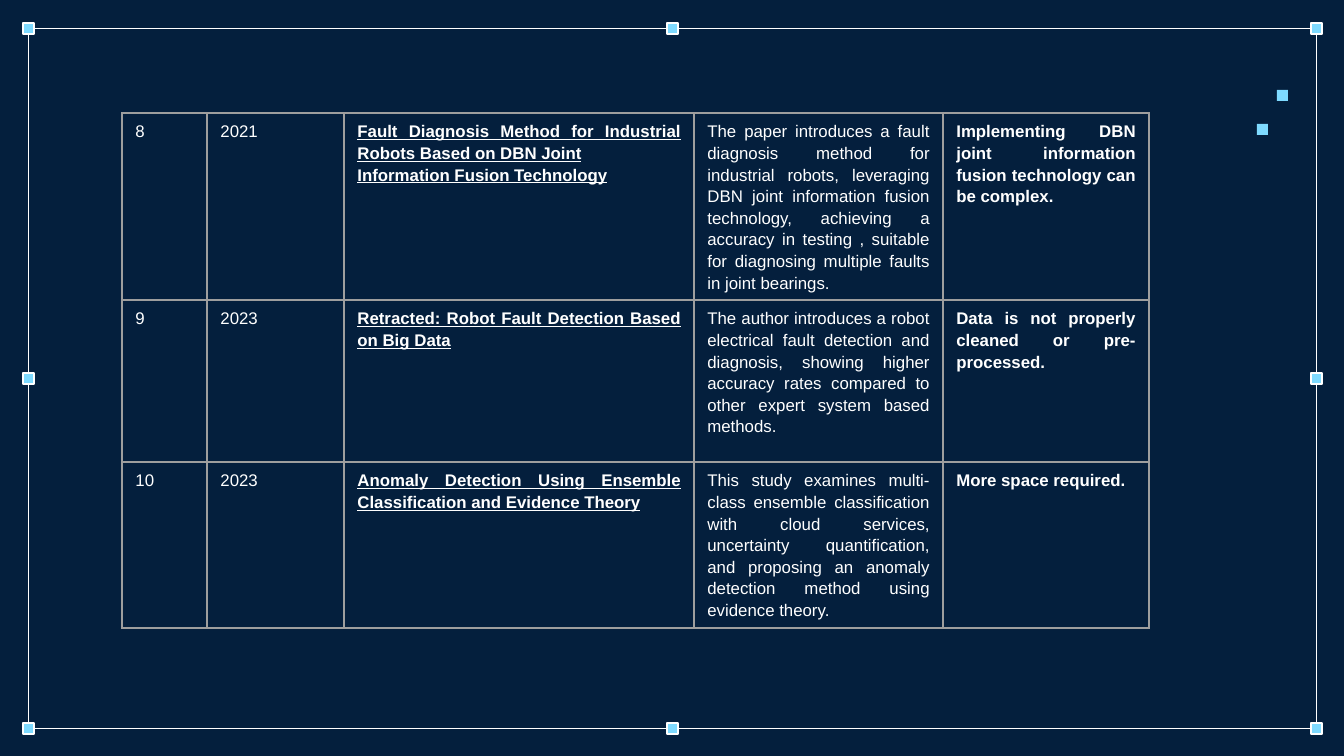
"""Build a literature survey table slide inside a selection-box frame."""
from lxml import etree
from pptx import Presentation
from pptx.dml.color import RGBColor
from pptx.enum.shapes import MSO_CONNECTOR, MSO_SHAPE
from pptx.enum.text import PP_ALIGN
from pptx.oxml.ns import qn
from pptx.util import Pt

PX = 914400 / 134.4
RECTANGLE = MSO_SHAPE.RECTANGLE
STRAIGHT = MSO_CONNECTOR.STRAIGHT
JUSTIFY = PP_ALIGN.JUSTIFY
NAVY = RGBColor(0x04, 0x1F, 0x3D)
SKY = RGBColor(0x7E, 0xDA, 0xFF)
WHITE = RGBColor(0xFF, 0xFF, 0xFF)
GREY = RGBColor(0x9E, 0x9E, 0x9E)
HANDLE = 11
TOP, LEFT, BOTTOM, RIGHT = range(4)


def px(value):
    return round(value * PX)


def add_square(shapes, left, top):
    square = shapes.add_shape(RECTANGLE, px(left), px(top), px(HANDLE), px(HANDLE))
    square.shadow.inherit = False
    square.fill.solid()
    square.fill.fore_color.rgb = SKY
    square.line.fill.background()
    return square


prs = Presentation()
prs.slide_width, prs.slide_height = px(1344), px(756)
slide = prs.slides.add_slide(prs.slide_layouts[6])
slide.background.fill.solid()
slide.background.fill.fore_color.rgb = NAVY

X1, X2, X3 = 23, 667, 1311
Y1, Y2, Y3 = 23, 373, 723
clockwise = [(X1, Y1), (X2, Y1), (X3, Y1), (X3, Y2),
             (X3, Y3), (X2, Y3), (X1, Y3), (X1, Y2)]
edge_sides = [(RIGHT, LEFT), (BOTTOM, TOP), (LEFT, RIGHT), (TOP, BOTTOM)]

handles = []
for left, top in clockwise:
    handle = add_square(slide.shapes, left, top)
    handle.line.color.rgb = WHITE
    handle.line.width = Pt(0.75)
    handles.append(handle)

for i, handle in enumerate(handles):
    start_side, end_side = edge_sides[i // 2]
    frame_edge = slide.shapes.add_connector(STRAIGHT, 0, 0, 0, 0)
    frame_edge.begin_connect(handle, start_side)
    frame_edge.end_connect(handles[(i + 1) % len(handles)], end_side)
    frame_edge.line.color.rgb = WHITE
    frame_edge.line.width = Pt(0.75)
    etree.SubElement(frame_edge._element.spPr, qn("a:effectLst"))

for left, top in [(1277, 90), (1257, 124)]:
    add_square(slide.shapes, left, top)

papers = [
    ("8", "2021",
     "Fault Diagnosis Method for Industrial Robots Based on DBN Joint\n"
     "Information Fusion Technology",
     "The paper introduces a fault diagnosis method for industrial robots, "
     "leveraging DBN joint information fusion technology, achieving a accuracy "
     "in testing , suitable for diagnosing multiple faults in joint bearings.",
     "Implementing DBN joint information fusion technology can be complex."),
    ("9", "2023",
     "Retracted: Robot Fault Detection Based on Big Data",
     "The author introduces a robot electrical fault detection and diagnosis, "
     "showing higher accuracy rates compared to other expert system "
     "based methods.",
     "Data is not properly cleaned or pre-processed."),
    ("10", "2023",
     "Anomaly Detection Using Ensemble Classification and Evidence Theory",
     "This study examines multi-class ensemble classification with cloud "
     "services, uncertainty quantification, and proposing an anomaly detection "
     "method using evidence theory.",
     "More space required."),
]
column_widths = [85, 137, 350, 249, 206]
row_heights = [187, 162, 166]
TITLE, LIMITATION = 2, 4

survey = slide.shapes.add_table(
    len(papers), len(column_widths), px(122), px(113),
    px(sum(column_widths)), px(sum(row_heights))).table
survey.first_row = False
survey.horz_banding = False
for column, width in zip(survey.columns, column_widths):
    column.width = px(width)
for row, height in zip(survey.rows, row_heights):
    row.height = px(height)

for r, paper in enumerate(papers):
    for c, entry in enumerate(paper):
        cell = survey.cell(r, c)
        cell_properties = cell._tc.get_or_add_tcPr()
        for side in ("a:lnL", "a:lnR", "a:lnT", "a:lnB"):
            border = etree.SubElement(cell_properties, qn(side), w=str(Pt(0.75)))
            border_fill = etree.SubElement(border, qn("a:solidFill"))
            etree.SubElement(border_fill, qn("a:srgbClr"), val=str(GREY))
        cell.fill.background()
        for n, line in enumerate(entry.split("\n")):
            frame = cell.text_frame
            paragraph = frame.add_paragraph() if n else frame.paragraphs[0]
            paragraph.alignment = JUSTIFY
            paragraph.line_spacing = 1.15
            run = paragraph.add_run()
            run.text = line
            run.font.name = "Arial"
            run.font.size = Pt(9)
            run.font.color.rgb = WHITE
            run.font.bold = c in (TITLE, LIMITATION)
            run.font.underline = c == TITLE

prs.save("out.pptx")
